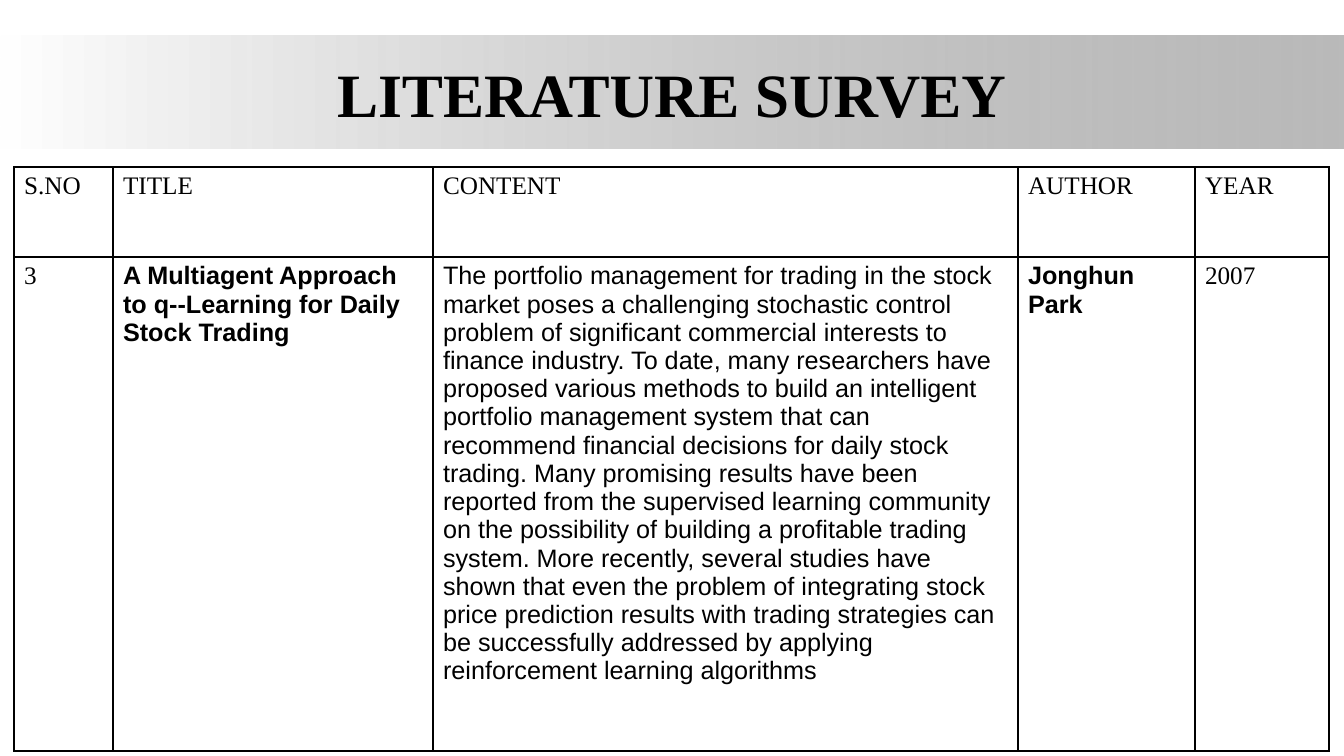
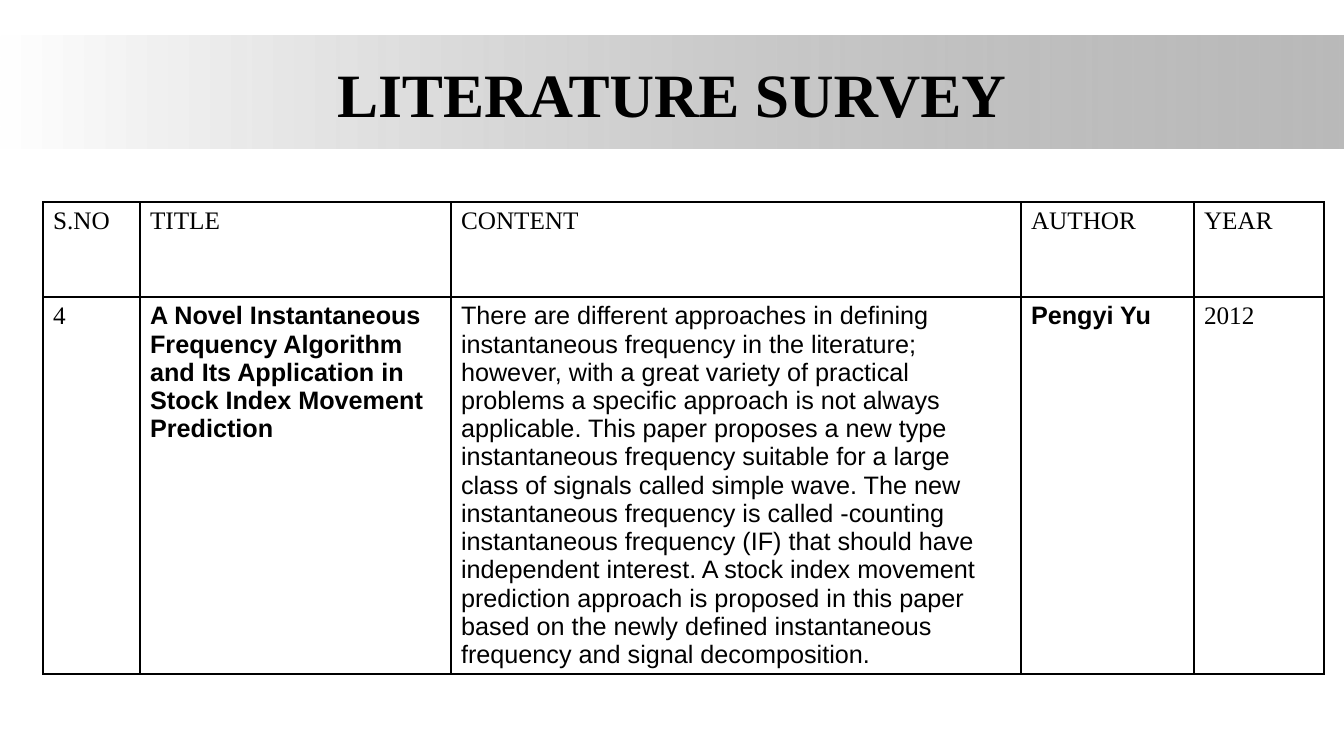
from lxml.etree import SubElement
from pptx import Presentation
from pptx.dml.color import RGBColor
from pptx.enum.shapes import MSO_SHAPE as Preset
from pptx.enum.text import MSO_ANCHOR as Anchor, PP_ALIGN as Align
from pptx.oxml.ns import qn
from pptx.util import Emu, Pt

EMU_PER_PX = 914400 / 100.8
SLIDE_W, SLIDE_H = 1344, 756
SERIF, SANS = "Times New Roman", "Arial"
BLACK, WHITE, GRAY = "000000", "FFFFFF", "808080"

HEADINGS = ["S.NO", "TITLE", "CONTENT", "AUTHOR", "YEAR"]
HEADING_STYLES = [(SERIF, False)] * len(HEADINGS)
ENTRY_STYLES = [(SERIF, False), (SANS, True), (SANS, False), (SANS, True), (SERIF, False)]

SURVEYS = [
    {
        "origin": (14, 167),
        "columns": [99, 320, 585, 177, 134],
        "rows": [90, 494],
        "entry": [
            "3",
            "A Multiagent Approach to q--Learning for Daily Stock Trading",
            "The portfolio management for trading in the stock market poses a challenging "
            "stochastic control problem of significant commercial interests to finance "
            "industry. To date, many researchers have proposed various methods to build an "
            "intelligent portfolio management system that can recommend financial decisions "
            "for daily stock trading. Many promising results have been reported from the "
            "supervised learning community on the possibility of building a profitable "
            "trading system. More recently, several studies have shown that even the problem "
            "of integrating stock price prediction results with trading strategies can be "
            "successfully addressed by applying reinforcement learning algorithms",
            "Jonghun Park",
            "2007",
        ],
    },
    {
        "origin": (43, 202),
        "columns": [97, 311, 570, 173, 130],
        "rows": [95, 377],
        "entry": [
            "4",
            "A Novel Instantaneous Frequency Algorithm and Its Application in Stock Index "
            "Movement Prediction",
            "There are different approaches in defining instantaneous frequency in the "
            "literature; however, with a great variety of practical problems a specific "
            "approach is not always applicable. This paper proposes a new type instantaneous "
            "frequency suitable for a large class of signals called simple wave. The new "
            "instantaneous frequency is called -counting instantaneous frequency (IF) that "
            "should have independent interest. A stock index movement prediction approach is "
            "proposed in this paper based on the newly defined instantaneous frequency and "
            "signal decomposition.",
            "Pengyi Yu",
            "2012",
        ],
    },
]


def px(length):
    return Emu(round(length * EMU_PER_PX))


def color(value):
    return RGBColor.from_string(value)


def set_font(paragraph, name, size, bold):
    font = paragraph.font
    font.name, font.size, font.bold = name, Pt(size), bold
    font.color.rgb = color(BLACK)


def add_borders(cell):
    properties = cell._tc.get_or_add_tcPr()
    for side in ("lnL", "lnR", "lnT", "lnB"):
        line = SubElement(properties, qn(f"a:{side}"), w=str(Pt(1)))
        SubElement(SubElement(line, qn("a:solidFill")), qn("a:srgbClr"), val=BLACK)


class Deck:
    """Holds the shared style and the slide being filled."""

    def __init__(self):
        self.presentation = Presentation()
        self.presentation.slide_width = px(SLIDE_W)
        self.presentation.slide_height = px(SLIDE_H)
        self.layout = self.presentation.slide_layouts[5]
        self.slide = None

    def new_slide(self):
        first = self.slide is None
        self.slide = self.presentation.slides.add_slide(self.layout)
        if first:
            self.layout_band()

    def layout_band(self):
        """Put the title band on the layout, behind its placeholders."""
        band = self.slide.shapes.add_shape(Preset.RECTANGLE, 0, px(36), px(SLIDE_W), px(113))
        band.shadow.inherit = False
        band.line.fill.background()
        band.fill.gradient()
        band.fill.gradient_angle = 0
        for stop, position, shade in zip(band.fill.gradient_stops, (0, 1), (WHITE, GRAY)):
            stop.position = position
            stop.color.rgb = color(shade)
        end_color = list(band.element.iter(qn("a:srgbClr")))[-1]
        SubElement(end_color, qn("a:alpha"), val="54000")
        band.element.nvSpPr.cNvPr.set("id", "20")
        self.layout.shapes.element.insert(2, band.element)

    def title(self, text):
        title = self.slide.shapes.title
        title.left, title.top, title.width, title.height = map(px, (67, 30, 1210, 126))
        frame = title.text_frame
        frame.text = text
        frame.vertical_anchor = Anchor.MIDDLE
        heading = frame.paragraphs[0]
        heading.alignment = Align.CENTER
        set_font(heading, SERIF, 44, True)

    def survey_table(self, origin, columns, rows, entry):
        left, top = origin
        table = self.slide.shapes.add_table(
            len(rows), len(columns), px(left), px(top), px(sum(columns)), px(sum(rows))
        ).table
        table.first_row = table.horz_banding = False
        for column, width in zip(table.columns, columns):
            column.width = px(width)
        for row, height, texts, styles in zip(
            table.rows, rows, (HEADINGS, entry), (HEADING_STYLES, ENTRY_STYLES)
        ):
            row.height = px(height)
            for cell, text, (font_name, bold) in zip(row.cells, texts, styles):
                cell.text = text
                set_font(cell.text_frame.paragraphs[0], font_name, 18, bold)
                add_borders(cell)
                cell.fill.background()


def main():
    deck = Deck()
    for survey in SURVEYS:
        deck.new_slide()
        deck.title("LITERATURE SURVEY")
        deck.survey_table(**survey)
    deck.presentation.save("out.pptx")


if __name__ == "__main__":
    main()
